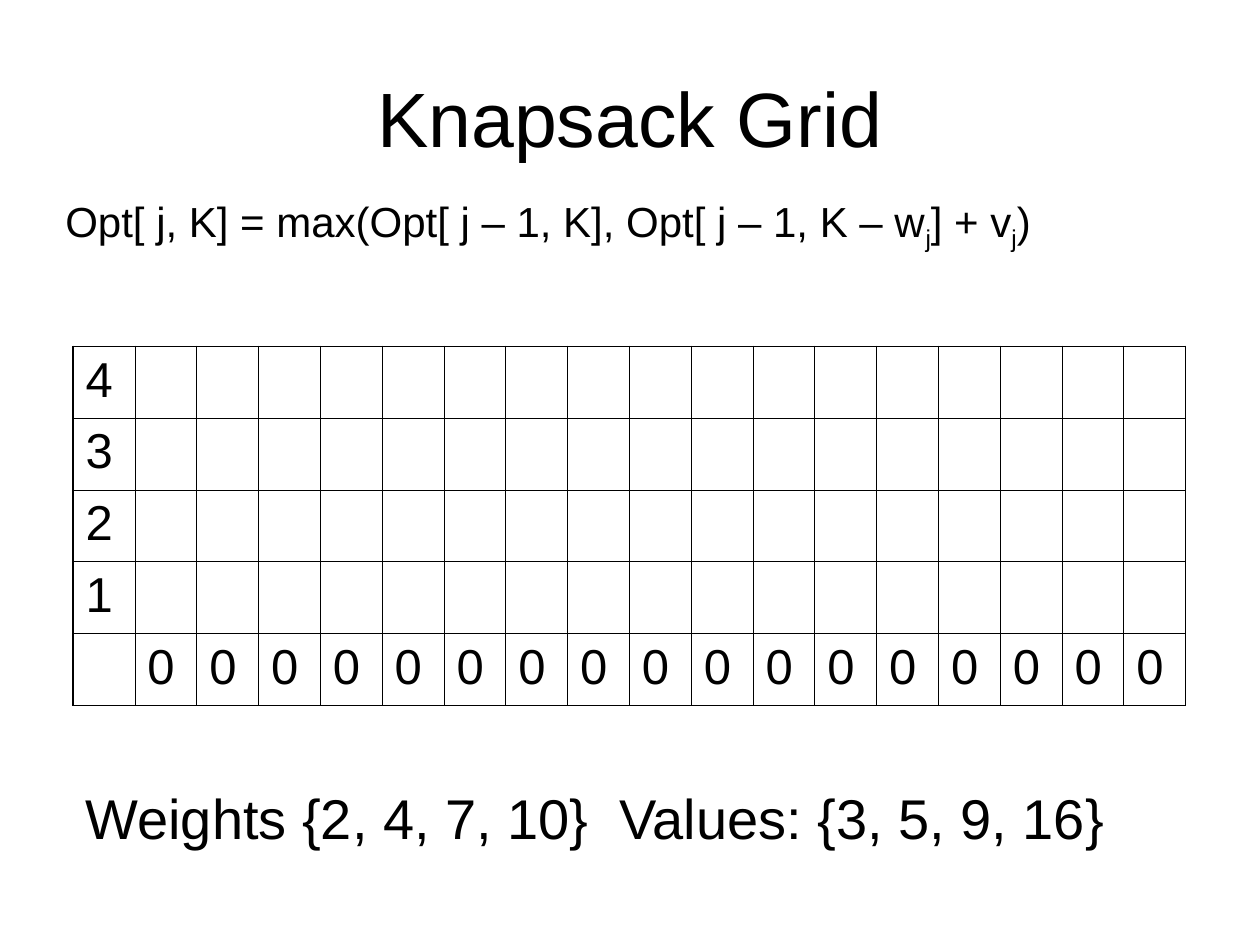
from lxml.etree import SubElement
from pptx import Presentation
from pptx.dml.color import RGBColor
from pptx.enum.text import MSO_ANCHOR, MSO_AUTO_SIZE, PP_ALIGN
from pptx.oxml.ns import qn
from pptx.util import Inches, Pt

# Content
TITLE = "Knapsack Grid"
# (text, is subscript)
FORMULA = [("Opt[ j, K] = max(Opt[ j – 1, K], Opt[ j – 1, K – w", False),
           ("j", True), ("] + v", False), ("j", True), (")", False)]
ITEMS = "Weights {2, 4, 7, 10}  Values: {3, 5, 9, 16}"
CAPACITY = 17
GRID = [[str(j)] + [""] * CAPACITY for j in (4, 3, 2, 1)] + [[""] + ["0"] * CAPACITY]

# Format
FONT = "Arial"
BLACK = RGBColor(0, 0, 0)
OUTER, INNER = Pt(1.08), Pt(0.45)
GRID_BOX = (0.58, 2.75, 8.83, 2.85)


def write(tf, text, size=28, before=0, align=PP_ALIGN.LEFT):
    """Fill a text frame with a string or a list of (text, is subscript)."""
    p = tf.paragraphs[0]
    p.alignment, p.space_before = align, Pt(before)
    for part, subscript in [(text, False)] if isinstance(text, str) else text:
        r = p.add_run()
        r.text = part
        r.font.name, r.font.size = FONT, Pt(size)
        r.font.color.rgb = BLACK
        if subscript:
            r.font._element.set("baseline", "-25000")


def add_text(s, box, text, anchor=MSO_ANCHOR.TOP, **fmt):
    tf = s.shapes.add_textbox(*map(Inches, box)).text_frame
    tf.word_wrap, tf.auto_size = True, MSO_AUTO_SIZE.NONE
    tf.vertical_anchor = anchor
    write(tf, text, **fmt)


def add_borders(cell, outer_sides):
    """Draw the four edges, heavier where the cell meets the grid's rim."""
    tc_pr = cell._tc.get_or_add_tcPr()
    for side in "LRTB":
        width = OUTER if side in outer_sides else INNER
        ln = SubElement(tc_pr, qn(f"a:ln{side}"), w=str(width))
        fill = SubElement(ln, qn("a:solidFill"))
        SubElement(fill, qn("a:srgbClr"), val=str(BLACK))


def add_grid(s, box, rows):
    n_rows, n_cols = len(rows), len(rows[0])
    table = s.shapes.add_table(n_rows, n_cols, *map(Inches, box)).table
    table.first_row = table.horz_banding = False
    for i, row in enumerate(rows):
        for j, text in enumerate(row):
            cell = table.cell(i, j)
            rim = {"L": j == 0, "R": j == n_cols - 1, "T": i == 0, "B": i == n_rows - 1}
            add_borders(cell, [side for side, on in rim.items() if on])
            cell.fill.background()
            if text:
                write(cell.text_frame, text, before=7)


def main():
    prs = Presentation()
    prs.slide_width, prs.slide_height = Inches(10), Inches(7.5)
    s = prs.slides.add_slide(prs.slide_layouts[6])

    # Title, grid, item list, recurrence
    add_text(s, (0.5, 0.3, 9, 1.25), TITLE, anchor=MSO_ANCHOR.MIDDLE,
             size=44, align=PP_ALIGN.CENTER)
    add_grid(s, GRID_BOX, GRID)
    add_text(s, (0.58, 6.17, 8.5, 0.64), ITEMS, size=32, before=20)
    add_text(s, (0.42, 1.5, 8.08, 0.56), FORMULA, size=24, before=15)

    prs.save("out.pptx")


if __name__ == "__main__":
    main()
